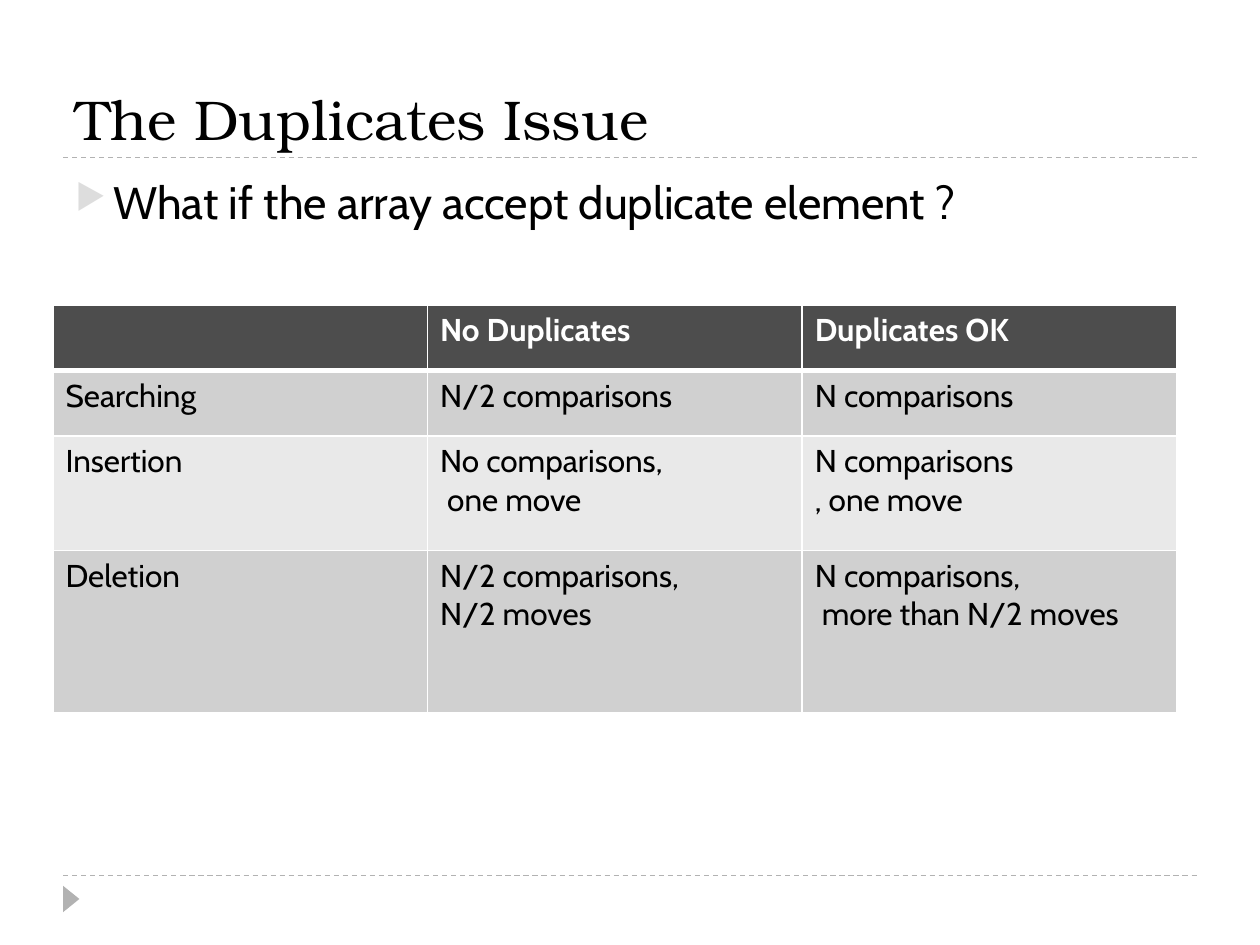
"""Build the slide on how duplicates change the cost of array operations."""
import pptx
import pptx.dml.color
import pptx.enum.dml
import pptx.enum.shapes
import pptx.enum.text
import pptx.oxml
import pptx.oxml.ns
import pptx.util

HUES = {"ink": "000000", "white": "FFFFFF", "rule": "B2B2B2", "mark": "DDDDDD",
        "head": "4D4D4D", "dark": "D0D0D0", "light": "E9E9E9"}
SPACE = pptx.oxml.ns.nsdecls("a")

deck = pptx.Presentation()
deck.slide_width = pptx.util.Inches(10)
deck.slide_height = pptx.util.Inches(7.5)
wide, high = deck.slide_width, deck.slide_height
slide = deck.slides.add_slide(deck.slide_layouts[6])
left, right = int(wide * 0.05), int(wide * 0.95)


def tint(name):
    return pptx.dml.color.RGBColor.from_string(HUES[name])


def style(frame, face, size, hue, bold=False):
    for para in frame.paragraphs:
        for run in para.runs:
            run.font.name = face
            run.font.size = pptx.util.Pt(size)
            run.font.bold = bold
            run.font.color.rgb = tint(hue)


for level in (6.95 / 7.5, 1.25 / 7.5):
    y = int(high * level)
    rule = slide.shapes.add_connector(
        pptx.enum.shapes.MSO_CONNECTOR.STRAIGHT, left, y, right, y)
    rule.line.color.rgb = tint("rule")
    rule.line.width = pptx.util.Pt(0.75)
    rule.line.dash_style = pptx.enum.dml.MSO_LINE.DASH
    rule._element.spPr.append(pptx.oxml.parse_xml(f"<a:effectLst {SPACE}/>"))

arrow = slide.shapes.add_shape(
    pptx.enum.shapes.MSO_SHAPE.ISOSCELES_TRIANGLE,
    int(wide * 0.046), int(high * 7.07 / 7.5), int(wide * 0.021), int(high * 0.13 / 7.5))
arrow.rotation = 90
arrow.shadow.inherit = False
arrow.fill.solid()
arrow.fill.fore_color.rgb = tint("rule")
arrow.line.fill.background()

title = slide.shapes.add_textbox(
    left, int(high * 0.17 / 7.5), right - left, int(high * 1.08 / 7.5)).text_frame
title.word_wrap = True
title.vertical_anchor = pptx.enum.text.MSO_ANCHOR.BOTTOM
title.text = "The Duplicates Issue"
style(title, "TeX Gyre Bonum", 32, "ink")

body = slide.shapes.add_textbox(
    left, int(high * 1.33 / 7.5), right - left, int(high * 0.72)).text_frame
body.word_wrap = True
body.text = "What if the array accept duplicate element ?"
props = body.paragraphs[0]._p.get_or_add_pPr()
props.set("marL", str(pptx.util.Inches(0.3)))
props.set("indent", str(-pptx.util.Inches(0.3)))
for mark in (f'<a:buClr {SPACE}><a:srgbClr val="{HUES["mark"]}"/></a:buClr>',
             f'<a:buSzPct {SPACE} val="76000"/>',
             f'<a:buChar {SPACE} char="▶"/>'):
    props.append(pptx.oxml.parse_xml(mark))
style(body, "Cabin", 26, "ink")

ROWS = [
    (0.52, "head", ["", "No Duplicates", "Duplicates OK"]),
    (0.52, "dark", ["Searching", "N/2 comparisons", "N comparisons"]),
    (0.91, "light", ["Insertion", "No comparisons,\n one move", "N comparisons\n, one move"]),
    (1.29, "dark", ["Deletion", "N/2 comparisons,\nN/2 moves",
                    "N comparisons,\n more than N/2 moves"]),
]
table = slide.shapes.add_table(
    len(ROWS), 3, int(wide * 0.042), int(high * 2.42 / 7.5),
    int(wide * 0.892), int(high * 3.24 / 7.5)).table
for i, (tall, fill, words) in enumerate(ROWS):
    table.rows[i].height = int(high * tall / 7.5)
    for j, word in enumerate(words):
        cell = table.cell(i, j)
        cell.text_frame.text = word
        style(cell.text_frame, "Cabin", 18, "ink" if i else "white", i == 0)
        for side in "LRTB":
            thick = 3 if (i, side) in ((0, "B"), (1, "T")) else 1
            cell._tc.get_or_add_tcPr().append(pptx.oxml.parse_xml(
                f'<a:ln{side} {SPACE} w="{pptx.util.Pt(thick)}"><a:solidFill>'
                f'<a:srgbClr val="{HUES["white"]}"/></a:solidFill></a:ln{side}>'))
        cell.fill.solid()
        cell.fill.fore_color.rgb = tint(fill)

deck.save("out.pptx")
